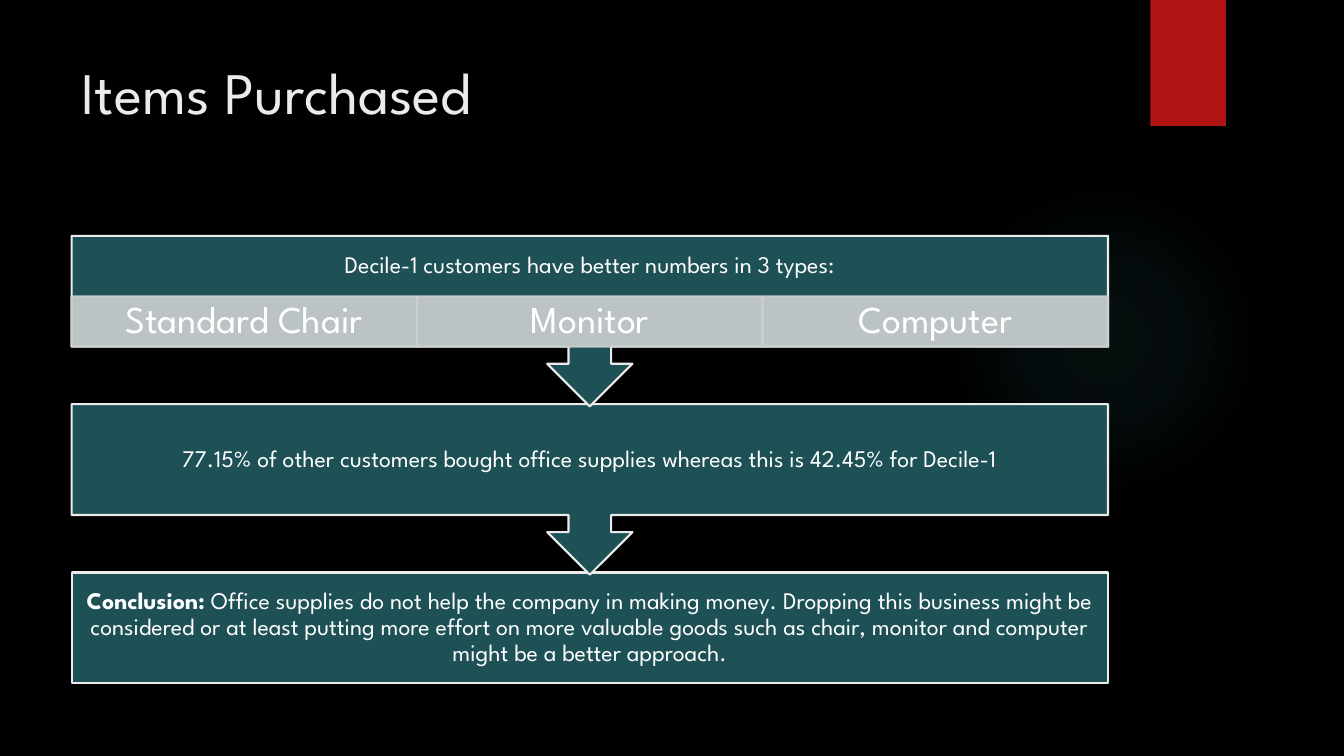
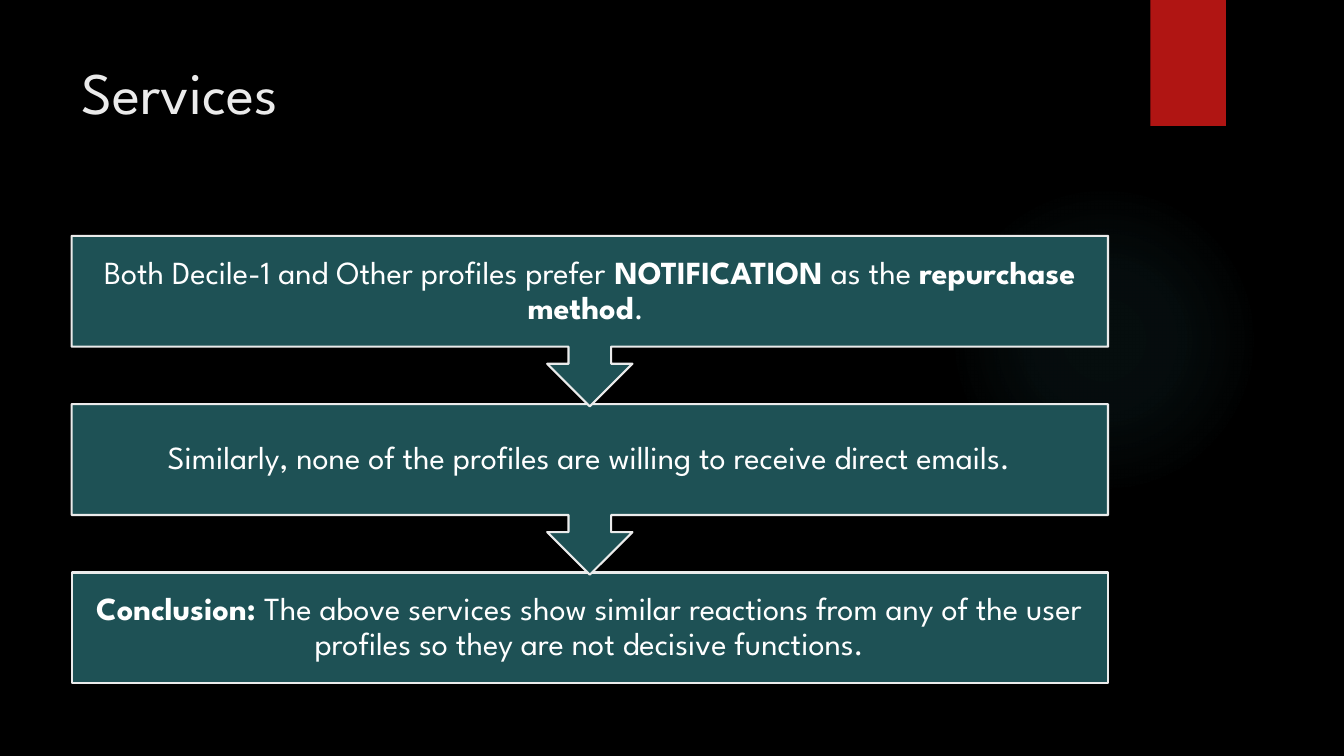
import pptx
import pptx.dml.color
import pptx.enum.shapes
import pptx.enum.text
import pptx.oxml
import pptx.oxml.ns
import pptx.util
import lxml.etree

RGBColor = pptx.dml.color.RGBColor
MSO_SHAPE = pptx.enum.shapes.MSO_SHAPE
MSO_ANCHOR = pptx.enum.text.MSO_ANCHOR
PP_ALIGN = pptx.enum.text.PP_ALIGN
Inches = pptx.util.Inches
Pt = pptx.util.Pt
qn = pptx.oxml.ns.qn

BLACK = RGBColor(0x00, 0x00, 0x00)
WHITE = RGBColor(0xFF, 0xFF, 0xFF)
PALE = RGBColor(0xEB, 0xEB, 0xEB)
TEAL = RGBColor(0x1E, 0x51, 0x55)
GREY = RGBColor(0xCD, 0xD0, 0xD1)
RED = RGBColor(0xB0, 0x15, 0x13)
CYAN = RGBColor(0x50, 0xB9, 0xC1)

FONT = "League Spartan"
SLIDE_W, SLIDE_H = 13.33, 7.5
LEFT = 0.71
TITLE_BOX = (LEFT, 0.5, 10.29, 1.53)
FLOW_BOX = (LEFT, 2.34, 10.28, 4.44)
GLOW_BOX = (9.41, 1.83, 3.08, 3.08)
TAB_BOX = (11.41, 0, 0.75, 1.25)
GLOW_STOPS = [(0, 7), (36, 6), (69, 0)]
STEP_H = 1.1
CALLOUT_BODY = 0.65
TYPES_H = 0.5


def add_box(s, kind, box, fill=None, line=None):
    sp = s.shapes.add_shape(kind, *(Inches(v) for v in box))
    sp.shadow.inherit = False
    if fill is not None:
        sp.fill.solid()
        sp.fill.fore_color.rgb = fill
    if line is None:
        sp.line.fill.background()
    else:
        sp.line.color.rgb = line
        sp.line.width = Pt(1.5)
    return sp


def set_alpha(sp, percent):
    for color in sp._element.spPr.iter(qn("a:srgbClr")):
        lxml.etree.SubElement(color, qn("a:alpha"), val=str(percent * 1000))


def write(sp, parts, size, insets, color=WHITE, align=PP_ALIGN.CENTER,
          anchor=MSO_ANCHOR.MIDDLE, spacing=0.9):
    tf = sp.text_frame
    tf.word_wrap = True
    tf.vertical_anchor = anchor
    tf.margin_left, tf.margin_top, tf.margin_right, tf.margin_bottom = (
        Inches(v) for v in insets)
    p = tf.paragraphs[0]
    p.alignment = align
    p.line_spacing = spacing
    for text, bold in parts:
        r = p.add_run()
        r.text = text
        r.font.name = FONT
        r.font.size = Pt(size)
        r.font.bold = bold
        r.font.color.rgb = color


def add_glow(s, box):
    sp = add_box(s, MSO_SHAPE.OVAL, box)
    stops = "".join(
        f'<a:gs pos="{pos * 1000}"><a:srgbClr val="{CYAN}">'
        f'<a:alpha val="{alpha * 1000}"/></a:srgbClr></a:gs>'
        for pos, alpha in GLOW_STOPS)
    gradient = pptx.oxml.parse_xml(
        f'<a:gradFill {pptx.oxml.ns.nsdecls("a")}><a:gsLst>{stops}</a:gsLst>'
        '<a:path path="circle">'
        '<a:fillToRect l="50000" t="50000" r="50000" b="50000"/>'
        '</a:path></a:gradFill>')
    sp._element.spPr.find(qn("a:prstGeom")).addnext(gradient)


def add_title(s, box, title):
    sp = s.shapes.add_textbox(*(Inches(v) for v in box))
    write(sp, [(title, False)], 42, (0.1, 0.05, 0.1, 0.05), PALE,
          PP_ALIGN.LEFT, MSO_ANCHOR.TOP, 1.0)


def add_types(s, box, names):
    left, top, width, height = box
    col = width / len(names)
    for i, name in enumerate(names):
        sp = add_box(s, MSO_SHAPE.RECTANGLE,
                     (left + i * col, top, col, height), GREY, GREY)
        set_alpha(sp, 90)
        write(sp, [(name, False)], 27, (0.21, 0.04, 0.21, 0.04))


def add_flow(s, box, steps, size, inset, types):
    left, top, width, height = box
    last = len(steps) - 1
    pitch = (height - STEP_H) / last
    for i in range(last, -1, -1):
        if i == last:
            kind, step_h = MSO_SHAPE.RECTANGLE, STEP_H
        else:
            kind, step_h = MSO_SHAPE.DOWN_ARROW_CALLOUT, STEP_H / CALLOUT_BODY
        sp = add_box(s, kind, (left, top + i * pitch, width, step_h),
                     TEAL, PALE)
        bottom = inset + TYPES_H if types and i == 0 else inset
        write(sp, steps[i], size, (inset, inset, inset, bottom))
    if types:
        add_types(s, (left, top + STEP_H - TYPES_H, width, TYPES_H), types)


def add_flow_slide(prs, title, steps, size, inset, types=()):
    s = prs.slides.add_slide(prs.slide_layouts[6])
    add_glow(s, GLOW_BOX)
    add_box(s, MSO_SHAPE.RECTANGLE, TAB_BOX, RED)
    add_title(s, TITLE_BOX, title)
    add_flow(s, FLOW_BOX, steps, size, inset, types)


def main():
    prs = pptx.Presentation()
    prs.slide_width = Inches(SLIDE_W)
    prs.slide_height = Inches(SLIDE_H)
    background = prs.slide_master.background.fill
    background.solid()
    background.fore_color.rgb = BLACK

    add_flow_slide(prs, "Items Purchased", [
        [("Decile-1 customers have better numbers in 3 types:", False)],
        [("77.15% of other customers bought office supplies whereas "
          "this is 42.45% for Decile-1", False)],
        [("Conclusion:", True),
         (" Office supplies do not help the company in making money. "
          "Dropping this business might be considered or at least putting "
          "more effort on more valuable goods such as chair, monitor and "
          "computer might be a better approach.", False)],
    ], 17, 0.13, ["Standard Chair", "Monitor", "Computer"])

    add_flow_slide(prs, "Services", [
        [("Both Decile-1 and Other profiles prefer ", False),
         ("NOTIFICATION", True), (" as the ", False),
         ("repurchase method", True), (". ", False)],
        [("Similarly, none of the profiles are willing to receive "
          "direct emails.", False)],
        [("Conclusion:", True),
         (" The above services show similar reactions from any of the user "
          "profiles so they are not decisive functions.", False)],
    ], 23, 0.18)

    prs.save("out.pptx")


if __name__ == "__main__":
    main()
